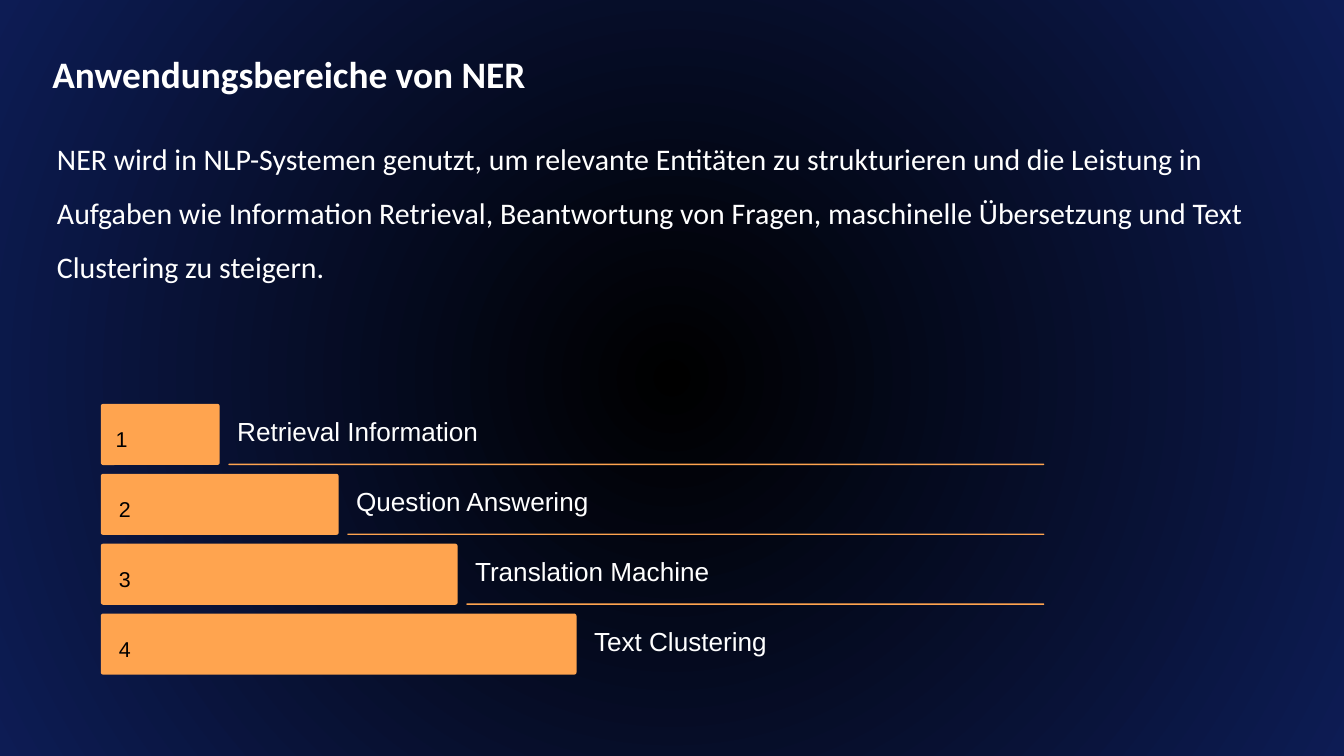
from typing import NamedTuple

from lxml import etree
from pptx import Presentation
from pptx import util as u
from pptx.dml.color import RGBColor
from pptx.enum import shapes, text
from pptx.oxml import ns

SLIDE_WIDTH, SLIDE_HEIGHT = 20, 11.25
COLORS = {"center": "000000", "edge": "0D1C54", "bar": "FFA44F",
          "number": "000000", "light": "FFFFFF"}

# Grid of the staircase: each bar is one column longer than the one above.
LEFT, TOP, RIGHT = 1.5, 6.01, 15.54
COLUMN, ROW = 1.77, 1.04
BAR_HEIGHT, RULE_HEIGHT = 0.91, 0.02
RULE_GAP, TEXT_GAP = 0.13, 0.26


class Area(NamedTuple):
    left: float
    top: float
    width: float
    height: float


class Style(NamedTuple):
    font: dict
    color: str
    paragraph: dict = {}
    frame: dict = {}


class Step(NamedTuple):
    label: str
    label_width: float
    label_height: float
    number_width: float = 0.2


TIGHT = {"margin_left": 0, "margin_top": 0, "margin_right": 0, "margin_bottom": 0,
         "word_wrap": False, "auto_size": text.MSO_AUTO_SIZE.NONE}
WRAPPED = {"word_wrap": True, "auto_size": text.MSO_AUTO_SIZE.SHAPE_TO_FIT_TEXT}

TITLE = Style({"name": "Calibri", "size": u.Pt(40), "bold": True}, "light",
              frame=WRAPPED)
BODY = Style({"name": "Calibri", "size": u.Pt(32)}, "light",
             {"line_spacing": 1.5}, WRAPPED)
NUMBER = Style({"name": "Arial", "size": u.Pt(23)}, "number",
               {"line_spacing": u.Pt(37.5), "alignment": text.PP_ALIGN.CENTER}, TIGHT)
LABEL = Style({"name": "Arial", "size": u.Pt(28)}, "light",
              {"line_spacing": u.Pt(27.5)}, TIGHT)

STEPS = [
    Step("Retrieval Information", 3.65, 0.45, number_width=0.1),
    Step("Question Answering", 3.55, 0.38),
    Step("Translation Machine", 3.6, 0.51),
    Step("Text Clustering", 2.65, 0.38),
]


def color(name: str) -> RGBColor:
    return RGBColor.from_string(COLORS[name])


def set_attributes(target, values: dict) -> None:
    for name, value in values.items():
        setattr(target, name, value)


def inches(area: Area) -> list[int]:
    return [u.Inches(length) for length in area]


def paint_background(page) -> None:
    """Fill the page with a gradient that runs in circles from the centre."""
    fill = page.background.fill
    fill.gradient()
    for stop, position, name in zip(fill.gradient_stops, (0, 1), ("center", "edge")):
        stop.position = position
        stop.color.rgb = color(name)
    linear = page.element.find(".//" + ns.qn("a:lin"))
    gradient = linear.getparent()
    gradient.remove(linear)
    circle = etree.SubElement(gradient, ns.qn("a:path"), {"path": "circle"})
    etree.SubElement(circle, ns.qn("a:fillToRect"),
                     {side: "50000" for side in "ltrb"})


def add_text(page, area: Area, words: str, style: Style) -> None:
    box = page.shapes.add_textbox(*inches(area))
    set_attributes(box.text_frame, style.frame)
    para = box.text_frame.paragraphs[0]
    set_attributes(para, style.paragraph)
    span = para.add_run()
    span.text = words
    set_attributes(span.font, style.font)
    span.font.color.rgb = color(style.color)


def add_bar(page, area: Area, rounding: float) -> None:
    bar = page.shapes.add_shape(shapes.MSO_SHAPE.ROUNDED_RECTANGLE, *inches(area))
    bar.adjustments[0] = rounding
    bar.shadow.inherit = False
    bar.fill.solid()
    bar.fill.fore_color.rgb = color("bar")
    bar.line.fill.background()


def add_step(page, index: int, step: Step) -> None:
    """Draw one bar with its number, its label and the rule below the label."""
    top = TOP + index * ROW
    width = (index + 1) * COLUMN
    end = LEFT + width
    add_bar(page, Area(LEFT, top, width, BAR_HEIGHT), 0.04)
    add_text(page, Area(LEFT + TEXT_GAP, top + 0.19, step.number_width, 0.52),
             str(index + 1), NUMBER)
    add_text(page, Area(end + TEXT_GAP, top + 0.26, step.label_width, step.label_height),
             step.label, LABEL)
    if index < len(STEPS) - 1:
        start = end + RULE_GAP
        add_bar(page, Area(start, top + 0.89, RIGHT - start, RULE_HEIGHT), 0.5)


def main() -> None:
    deck = Presentation()
    deck.slide_width = u.Inches(SLIDE_WIDTH)
    deck.slide_height = u.Inches(SLIDE_HEIGHT)
    page = deck.slides.add_slide(deck.slide_layouts[6])
    paint_background(page)
    for index, step in enumerate(STEPS):
        add_step(page, index, step)
    add_text(page, Area(0.75, 1.78, 18.5, 2.44),
             "NER wird in NLP-Systemen genutzt, um relevante Entitäten zu strukturieren "
             "und die Leistung in Aufgaben wie Information Retrieval, Beantwortung von "
             "Fragen, maschinelle Übersetzung und Text Clustering zu steigern.", BODY)
    add_text(page, Area(0.68, 0.71, 8.72, 1.08), "Anwendungsbereiche von NER", TITLE)
    deck.save("out.pptx")


if __name__ == "__main__":
    main()
